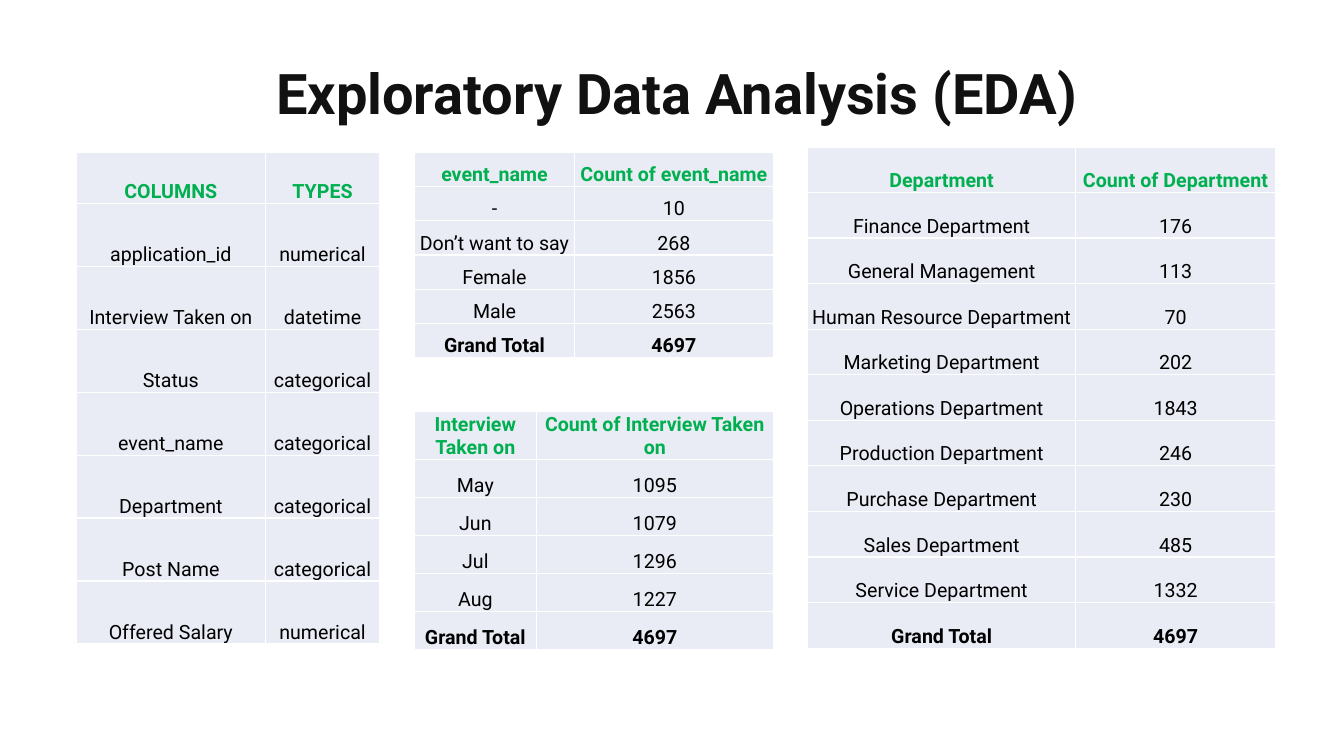
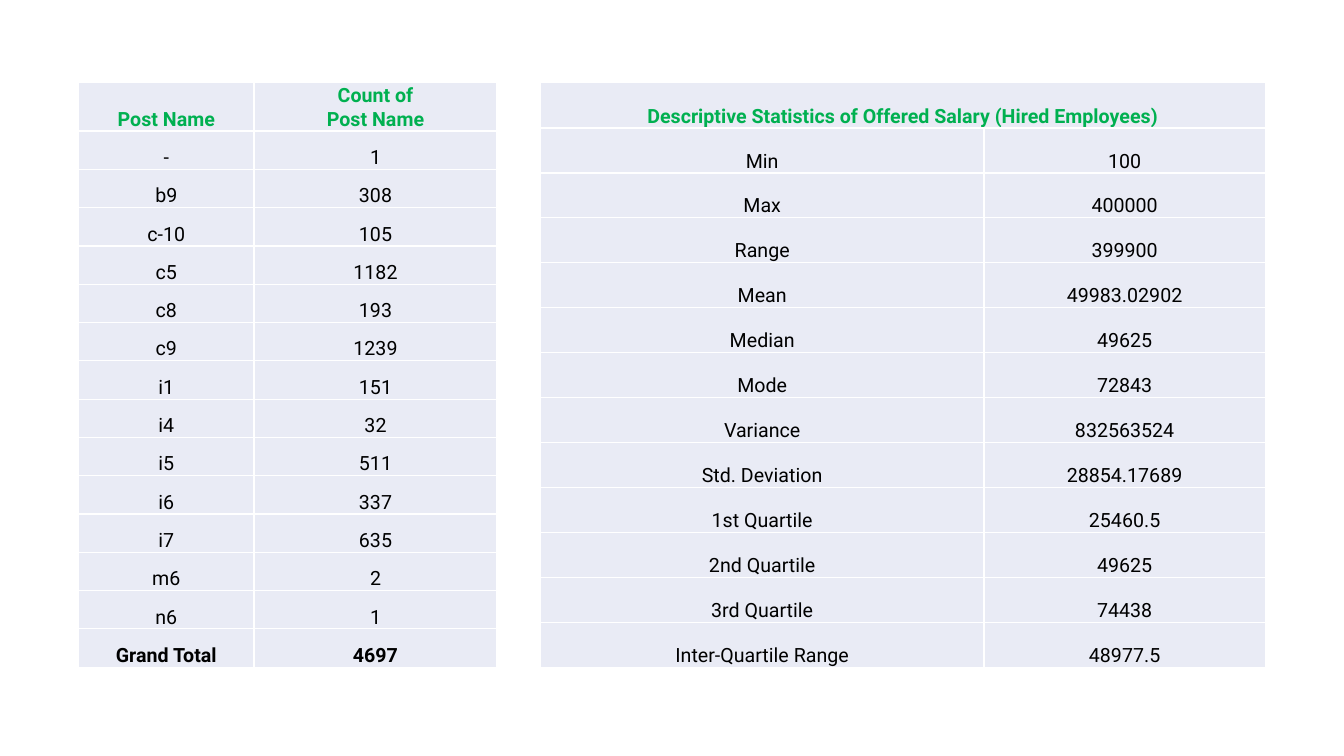
from dataclasses import dataclass

import lxml.etree
import pptx
import pptx.dml.color
import pptx.enum.text
import pptx.oxml.ns
import pptx.presentation
import pptx.slide
import pptx.table
import pptx.text.text
import pptx.util

Inches = pptx.util.Inches
Pt = pptx.util.Pt

FONT = "Roboto"
COLORS = {
    "title": "111111",
    "header": "00B050",
    "text": "000000",
    "cell": "E9EBF5",
    "border": "FFFFFF",
}
TITLE_FORMAT = {"name": FONT, "size": Pt(40), "bold": True}
CELL_FORMAT = {
    "margin_left": Inches(0.01),
    "margin_right": Inches(0.01),
    "margin_top": Inches(0.01),
    "margin_bottom": 0,
    "vertical_anchor": pptx.enum.text.MSO_ANCHOR.BOTTOM,
}
TOTAL_ROW = ("Grand Total", "4697")


@dataclass(frozen=True)
class DataTable:
    """Lengths are in inches; the body rows share the height below the header."""
    left: float
    top: float
    height: float
    header_height: float
    columns: tuple[float, ...]
    header: tuple[str, ...]
    body: tuple[tuple[str, str], ...]


EDA_TABLES = (
    DataTable(0.76, 1.51, 4.88, 0.51, (1.87, 1.14), ("COLUMNS", "TYPES"), (
        ("application_id", "numerical"),
        ("Interview Taken on", "datetime"),
        ("Status", "categorical"),
        ("event_name", "categorical"),
        ("Department", "categorical"),
        ("Post Name", "categorical"),
        ("Offered Salary", "numerical"),
    )),
    DataTable(8.01, 1.46, 4.97, 0.45, (2.66, 1.98), ("Department", "Count of Department"), (
        ("Finance Department", "176"),
        ("General Management", "113"),
        ("Human Resource Department", "70"),
        ("Marketing Department", "202"),
        ("Operations Department", "1843"),
        ("Production Department", "246"),
        ("Purchase Department", "230"),
        ("Sales Department", "485"),
        ("Service Department", "1332"),
        TOTAL_ROW,
    )),
    DataTable(4.11, 1.51, 2.04, 0.34, (1.59, 1.97), ("event_name", "Count of event_name"), (
        ("-", "10"),
        ("Don’t want to say", "268"),
        ("Female", "1856"),
        ("Male", "2563"),
        TOTAL_ROW,
    )),
    DataTable(4.11, 4.08, 2.36, 0.48, (1.21, 2.35),
              ("Interview Taken on", "Count of Interview Taken on"), (
        ("May", "1095"),
        ("Jun", "1079"),
        ("Jul", "1296"),
        ("Aug", "1227"),
        TOTAL_ROW,
    )),
)

SALARY_TABLES = (
    DataTable(0.78, 0.82, 5.8, 0.48, (1.74, 2.41), ("Post Name", "Count of\nPost Name"), (
        ("-", "1"),
        ("b9", "308"),
        ("c-10", "105"),
        ("c5", "1182"),
        ("c8", "193"),
        ("c9", "1239"),
        ("i1", "151"),
        ("i4", "32"),
        ("i5", "511"),
        ("i6", "337"),
        ("i7", "635"),
        ("m6", "2"),
        ("n6", "1"),
        TOTAL_ROW,
    )),
    DataTable(5.36, 0.82, 5.8, 0.45, (4.4, 2.79),
              ("Descriptive Statistics of Offered Salary (Hired Employees)",), (
        ("Min", "100"),
        ("Max", "400000"),
        ("Range", "399900"),
        ("Mean", "49983.02902"),
        ("Median", "49625"),
        ("Mode", "72843"),
        ("Variance", "832563524"),
        ("Std. Deviation", "28854.17689"),
        ("1st Quartile", "25460.5"),
        ("2nd Quartile", "49625"),
        ("3rd Quartile", "74438"),
        ("Inter-Quartile Range", "48977.5"),
    )),
)


def rgb(color: str) -> pptx.dml.color.RGBColor:
    return pptx.dml.color.RGBColor.from_string(COLORS[color])


def set_attributes(target: object, values: dict[str, object]) -> None:
    for name, value in values.items():
        setattr(target, name, value)


def format_text(frame: pptx.text.text.TextFrame, values: dict[str, object], color: str) -> None:
    for paragraph in frame.paragraphs:
        paragraph.alignment = pptx.enum.text.PP_ALIGN.CENTER
        for run in paragraph.runs:
            set_attributes(run.font, values)
            run.font.color.rgb = rgb(color)


def add_borders(cell: pptx.table._Cell) -> None:
    properties = cell._tc.get_or_add_tcPr()
    qualified = pptx.oxml.ns.qn
    for side in ("a:lnL", "a:lnR", "a:lnT", "a:lnB"):
        line = lxml.etree.SubElement(properties, qualified(side), w=str(Pt(1)))
        fill = lxml.etree.SubElement(line, qualified("a:solidFill"))
        lxml.etree.SubElement(fill, qualified("a:srgbClr"), val=COLORS["border"])


def format_cell(cell: pptx.table._Cell, bold: bool, color: str) -> None:
    set_attributes(cell, CELL_FORMAT)
    add_borders(cell)
    cell.fill.solid()
    cell.fill.fore_color.rgb = rgb("cell")
    format_text(cell.text_frame, {"name": FONT, "size": Pt(14), "bold": bold}, color)


def add_data_table(slide: pptx.slide.Slide, data: DataTable) -> None:
    rows = (data.header, *data.body)
    table = slide.shapes.add_table(
        len(rows), len(data.columns), Inches(data.left), Inches(data.top),
        Inches(sum(data.columns)), Inches(data.height)).table
    set_attributes(table, {"first_row": False, "horz_banding": False})
    for column, width in zip(table.columns, data.columns):
        column.width = Inches(width)
    body_height = (data.height - data.header_height) / len(data.body)
    for row_index, texts in enumerate(rows):
        is_header = row_index == 0
        row = table.rows[row_index]
        row.height = Inches(data.header_height if is_header else body_height)
        for cell, text in zip(row.cells, texts):
            cell.text = text
        for cell in row.cells:
            format_cell(cell, is_header or texts == TOTAL_ROW, "header" if is_header else "text")
    if len(data.header) < len(data.columns):
        table.cell(0, 0).merge(table.cell(0, len(data.columns) - 1))


def add_slide(presentation: pptx.presentation.Presentation,
              tables: tuple[DataTable, ...], title: str = "") -> None:
    layout = "Title Only" if title else "Blank"
    slide = presentation.slides.add_slide(presentation.slide_layouts.get_by_name(layout))
    if title:
        shape = slide.shapes.title
        set_attributes(shape, {"left": Inches(0.76), "top": Inches(0.53),
                               "width": Inches(11.9), "height": Inches(0.77)})
        frame = shape.text_frame
        frame.text = title
        frame.auto_size = pptx.enum.text.MSO_AUTO_SIZE.SHAPE_TO_FIT_TEXT
        frame.vertical_anchor = pptx.enum.text.MSO_ANCHOR.MIDDLE
        format_text(frame, TITLE_FORMAT, "title")
    for data in tables:
        add_data_table(slide, data)


def main() -> None:
    presentation = pptx.Presentation()
    presentation.slide_width = Inches(13.33)
    presentation.slide_height = Inches(7.5)
    add_slide(presentation, EDA_TABLES, "Exploratory Data Analysis (EDA)")
    add_slide(presentation, SALARY_TABLES)
    presentation.save("out.pptx")


if __name__ == "__main__":
    main()
